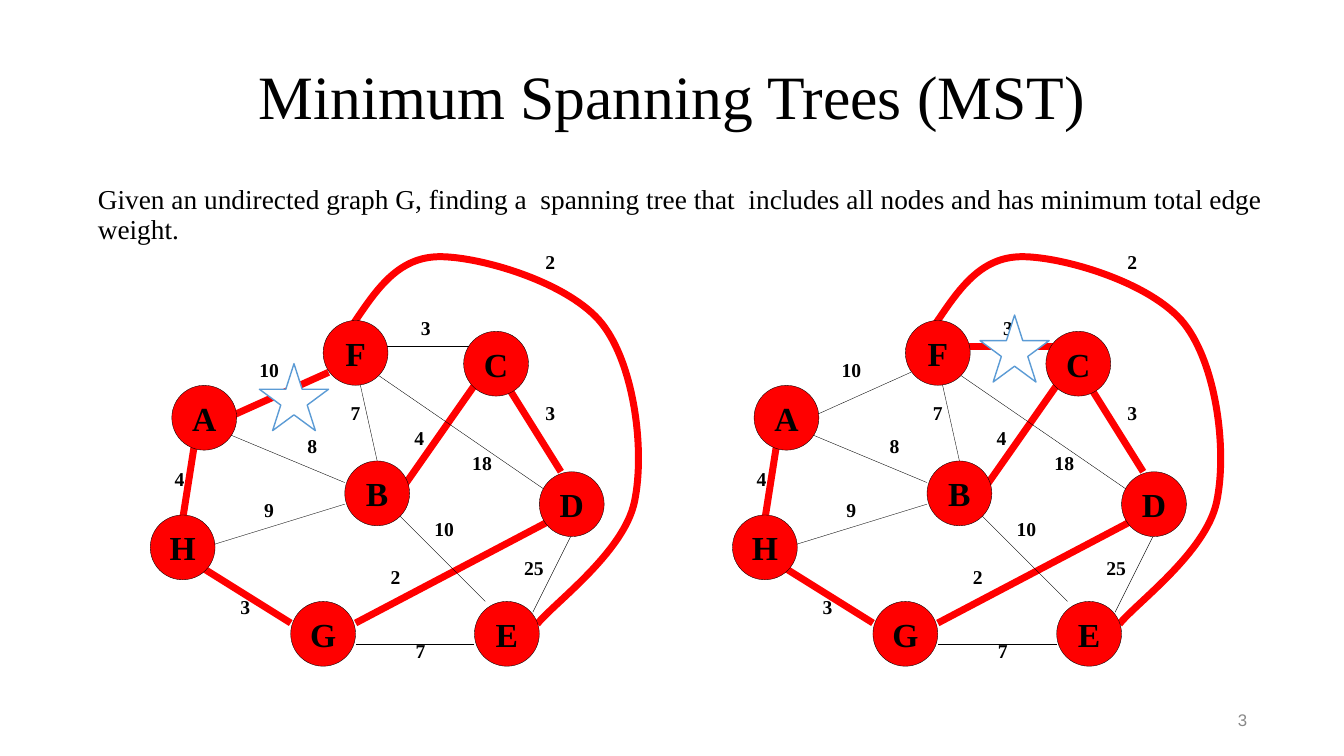
from dataclasses import dataclass
from itertools import chain, starmap
from typing import Any, NamedTuple

from lxml import etree
from pptx import Presentation
from pptx import util as u
from pptx.dml.color import RGBColor
from pptx.enum import shapes, text
from pptx.oxml import ns

WIDE, HIGH = u.Inches(13.33), u.Inches(7.5)
CELL = WIDE / 124.35
TOP = 29.66
RED = RGBColor(0xFF, 0, 0)
BLACK = RGBColor(0, 0, 0)
WHITE = RGBColor(0xFF, 0xFF, 0xFF)
BLUE = RGBColor(0x5B, 0x9B, 0xD5)
GRAY = RGBColor(0x88, 0x88, 0x88)
SERIF, SANS = "Times New Roman", "Arial"
THIN, THICK = u.Pt(0.25), u.Pt(5)
MID = text.MSO_ANCHOR.MIDDLE
CENTER, RIGHT = text.PP_ALIGN.CENTER, text.PP_ALIGN.RIGHT


class Node(NamedTuple):
    name: str
    col: float
    row: float


class Edge(NamedTuple):
    ends: str
    x1: float
    y1: float
    x2: float
    y2: float


class Label(NamedTuple):
    words: str
    mid: float
    row: float


@dataclass
class Graph:
    left: float
    tree: set[str]
    star: tuple[float, float]


@dataclass
class Block:
    words: str
    share: tuple[float, float, float, float]
    size: float
    face: str = SERIF
    color: RGBColor = BLACK
    align: Any = None
    anchor: Any = None
    space: float | None = None


NODES = list(starmap(Node, [
    ("A", 2, 6), ("H", 0, 18), ("B", 18, 13), ("F", 16, 0),
    ("E", 30, 26), ("D", 36, 14), ("C", 29, 1), ("G", 13, 26),
]))
EDGES = list(starmap(Edge, [
    ("DE", 40.4, 17, 35.4, 27), ("FB", 19, 4, 21, 13), ("BC", 23, 16, 30, 6),
    ("DF", 37, 16, 21, 5), ("HB", 5, 21, 18, 17), ("GD", 19, 28, 38, 18),
    ("HA", 3, 18.4, 4.1, 11.4), ("AB", 6, 10, 18, 15),
    ("FC", 21.5, 2.4, 31, 2.4), ("CD", 33, 6, 38, 14), ("BE", 23, 18, 31, 26),
    ("EG", 30, 30, 19, 30), ("GH", 13, 28, 5, 23), ("AF", 7.6, 8.8, 16.5, 4.8),
]))
LABELS = list(starmap(Label, [
    ("4", 2.7, 13.1), ("25", 35.5, 21.3), ("7", 25, 29), ("2", 22.7, 22.2),
    ("10", 27.2, 17.7), ("18", 30.7, 11.6), ("3", 37, 7), ("4", 24.9, 9.3),
    ("3", 25.5, -0.9), ("7", 19, 7), ("8", 15, 10), ("9", 11, 16),
    ("3", 8.8, 24.9), ("10", 11, 3), ("2", 37, -7),
]))
CURVE = [
    (18.8, 0.3), (20.9, -2.8), (22.9, -5.9), (26.8, -5.9), (30.6, -5.9),
    (38.8, -3.5), (41.8, 0.3), (44.8, 4.1), (45.8, 12.1), (44.8, 16.8),
    (43.8, 21.5), (37.3, 26.2), (35.8, 28.1),
]
SHARED = {"BC", "GD", "HA", "CD", "GH"}
GRAPHS = [
    Graph(13.9, SHARED | {"AF"}, (10.1, 4)),
    Graph(67.77, SHARED | {"FC"}, (22.9, -0.5)),
]
BLOCKS = [
    Block("Minimum Spanning Trees (MST)", (6.9, 1, 86.25, 23), 44,
          align=CENTER, anchor=MID),
    Block("Given an undirected graph G, finding a  spanning tree that  includes "
          "all nodes and has minimum total edge weight.",
          (6.9, 24, 90.25, 9.3), 19.5, space=0.9),
    Block("3", (70.67, 93.3, 22.5, 3.9), 12, SANS, GRAY, RIGHT, MID),
]


def span(size: float) -> int:
    return round(size * CELL)


def spot(graph: Graph, col: float, row: float) -> tuple[int, int]:
    return span(graph.left + col), span(TOP + row)


def write(shape: Any, words: str, size: float, face: str = SERIF,
          color: RGBColor = BLACK, bold: bool = False, align: Any = CENTER,
          anchor: Any = None, inset: float = 0.05) -> Any:
    frame = shape.text_frame
    frame.word_wrap = True
    frame.vertical_anchor = anchor or text.MSO_ANCHOR.TOP
    frame.margin_left = frame.margin_right = u.Inches(inset)
    frame.margin_top = frame.margin_bottom = u.Inches(inset)
    para = frame.paragraphs[0]
    para.text, para.alignment = words, align
    font = para.font
    font.size, font.name, font.bold = u.Pt(size), face, bold
    font.color.rgb = color
    return para


def paint(shape: Any, fill: RGBColor, line: RGBColor, width: int) -> None:
    shape.shadow.inherit = False
    shape.fill.solid()
    shape.fill.fore_color.rgb = fill
    shape.line.color.rgb, shape.line.width = line, width


def bend(group: Any, graph: Graph) -> None:
    start, *rest = [spot(graph, *point) for point in CURVE]
    pen = group.build_freeform(*start, scale=1.0)
    pen.add_line_segments(rest, close=False)
    arc = pen.convert_to_shape()
    arc.shadow.inherit = False
    arc.fill.background()
    arc.line.color.rgb, arc.line.width = RED, THICK
    steps = list(arc.element.iter(ns.qn("a:lnTo")))
    for trio in zip(steps[::3], steps[1::3], steps[2::3]):
        cubic = etree.SubElement(trio[0].getparent(), ns.qn("a:cubicBezTo"))
        for step in trio:
            cubic.append(step[0])
            step.getparent().remove(step)


def link(group: Any, graph: Graph, edge: Edge) -> None:
    ends = chain(spot(graph, edge.x1, edge.y1), spot(graph, edge.x2, edge.y2))
    line = group.add_connector(shapes.MSO_CONNECTOR.STRAIGHT, *ends)
    kept = edge.ends in graph.tree
    line.line.color.rgb = RED if kept else BLACK
    line.line.width = THICK if kept else THIN
    etree.SubElement(line._element.spPr, ns.qn("a:effectLst"))


def draw(slide: Any, graph: Graph) -> None:
    group = slide.shapes.add_group_shape().shapes
    bend(group, graph)
    for edge in EDGES:
        link(group, graph, edge)
    for node in NODES:
        disc = group.add_shape(shapes.MSO_SHAPE.OVAL,
                               *spot(graph, node.col, node.row), span(6), span(6))
        paint(disc, RED, BLACK, THIN)
        write(disc, node.name, 24, bold=True, anchor=MID, inset=0)
    for label in LABELS:
        wide = 2 + 2 * len(label.words)
        box = group.add_textbox(*spot(graph, label.mid - wide / 2, label.row),
                                span(wide), span(3.75))
        write(box, label.words, 14, bold=True)


def main() -> None:
    deck = Presentation()
    deck.slide_width, deck.slide_height = WIDE, HIGH
    slide = deck.slides.add_slide(deck.slide_layouts[6])
    for block in BLOCKS:
        sides = [round(part * full / 100)
                 for part, full in zip(block.share, (WIDE, HIGH) * 2)]
        para = write(slide.shapes.add_textbox(*sides), block.words, block.size,
                     block.face, block.color, align=block.align, anchor=block.anchor)
        para.line_spacing = block.space
    for graph in GRAPHS:
        draw(slide, graph)
    for graph in GRAPHS:
        star = slide.shapes.add_shape(shapes.MSO_SHAPE.STAR_5_POINT,
                                      *spot(graph, *graph.star), span(6.4), span(6.2))
        paint(star, WHITE, BLUE, u.Pt(1))
    deck.save("out.pptx")


if __name__ == "__main__":
    main()
